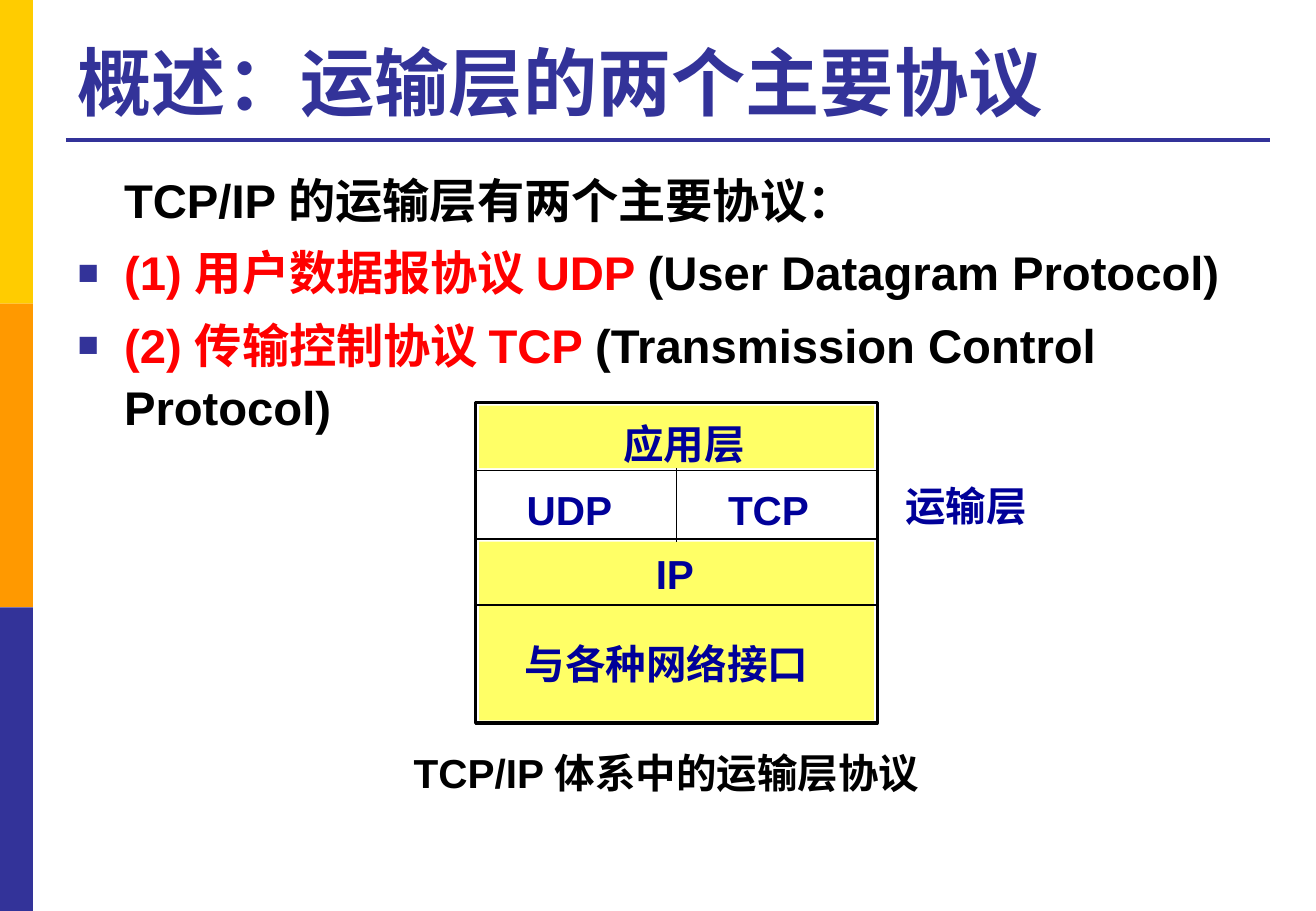
from lxml.etree import SubElement
from pptx import Presentation
from pptx.dml.color import RGBColor
from pptx.enum.shapes import MSO_CONNECTOR, MSO_SHAPE
from pptx.enum.text import MSO_ANCHOR, PP_ALIGN
from pptx.oxml.ns import qn
from pptx.util import Pt

BLUE, NAVY, BLACK, RED = "333399", "000099", "000000", "FF0000"
YELLOW = "FFFF66"


def color(code):
    """Turn a hex string into a colour."""
    return RGBColor.from_string(code)


def add_rect(slide, box, fill, line=None):
    """Draw a filled rectangle, outlined when a line width is given."""
    shape = slide.shapes.add_shape(MSO_SHAPE.RECTANGLE, *map(Pt, box))
    shape.shadow.inherit = False
    shape.fill.solid()
    shape.fill.fore_color.rgb = color(fill)
    if line:
        shape.line.color.rgb = color(BLACK)
        shape.line.width = Pt(line)
    else:
        shape.line.fill.background()
    return shape


def add_line(slide, ends, ink, width):
    """Draw a straight line without a shadow."""
    line = slide.shapes.add_connector(MSO_CONNECTOR.STRAIGHT, *map(Pt, ends))
    line.line.color.rgb = color(ink)
    line.line.width = Pt(width)
    SubElement(line._element.spPr, qn("a:effectLst"))
    return line


def add_run(para, text, size, ink):
    """Append one bold run."""
    run = para.add_run()
    run.text = text
    run.font.name = "Arial"
    run.font.size = Pt(size)
    run.font.bold = True
    run.font.color.rgb = color(ink)


def add_frame(slide, box, wrap=True):
    """Add an empty text box and return its text frame."""
    frame = slide.shapes.add_textbox(*map(Pt, box)).text_frame
    frame.word_wrap = wrap
    return frame


def add_label(slide, box, text, ink=NAVY):
    """Add a centred one-line label."""
    para = add_frame(slide, box, False).paragraphs[0]
    para.alignment = PP_ALIGN.CENTER
    add_run(para, text, 24, ink)


def add_bullet(para):
    """Hang a small blue square before the paragraph."""
    props = para._p.get_or_add_pPr()
    props.set("indent", str(-Pt(27.5)))
    tint = SubElement(props, qn("a:buClr"))
    SubElement(tint, qn("a:srgbClr"), val=BLUE)
    SubElement(props, qn("a:buSzPct"), val="75000")
    SubElement(props, qn("a:buFont"), typeface="Arial")
    SubElement(props, qn("a:buChar"), char="■")


def add_side(slide, box):
    """Stack the three colour bands of the side bar."""
    left, top, width, height = box
    part = height / 3
    for row, fill in enumerate(("FFCC00", "FF9900", BLUE)):
        add_rect(slide, (left, top + row * part, width, part), fill)


def add_title(slide, box):
    """Write the title and rule a line below it."""
    left, top, width, height = box
    frame = add_frame(slide, box)
    frame.vertical_anchor = MSO_ANCHOR.BOTTOM
    add_run(frame.paragraphs[0], "概述：运输层的两个主要协议", 44, BLUE)
    base = top + height + 5
    add_line(slide, (left, base, left + width, base), BLUE, 2.25)


def add_body(slide, box):
    """Write the lead sentence and the two bulleted protocols."""
    frame = add_frame(slide, box)
    rows = (
        ("", "TCP/IP 的运输层有两个主要协议："),
        ("(1) 用户数据报协议 UDP ", "(User Datagram Protocol)"),
        ("(2) 传输控制协议 TCP ", "(Transmission Control Protocol)"),
    )
    for row, (name, rest) in enumerate(rows):
        para = frame.add_paragraph() if row else frame.paragraphs[0]
        para.line_spacing = 1.1
        para._p.get_or_add_pPr().set("marL", str(Pt(27.5)))
        if name:
            para.space_before = Pt(6)
            add_bullet(para)
            add_run(para, name, 28, RED)
        add_run(para, rest, 28, BLACK)


def add_stack(slide, box):
    """Draw the protocol stack with its labels and caption."""
    left, top, width, height = box
    add_rect(slide, box, "FFFFFF", 2)
    upper, lower = [
        add_rect(slide, (left + 2, top + down, width - 4, tall), YELLOW)
        for down, tall in ((2, 37), (82.5, 106))
    ]
    for down in (40.5, 81, 120):
        add_line(slide, (left, top + down, left + width, top + down), BLACK, 1)
    split = add_line(slide, (left, top, left, top), BLACK, 1)
    split.begin_connect(upper, 2)
    split.end_connect(lower, 0)
    labels = (
        ("应用层", 80, 6.5, 87),
        ("UDP", 23, 45.5, 65),
        ("TCP", 142, 45.5, 63),
        ("IP", 99, 83.5, 38),
        ("与各种网络接口", 12, 136.5, 202),
        ("运输层", 246.5, 43, 88),
    )
    for text, over, down, wide in labels:
        add_label(slide, (left + over, top + down, wide, 36), text)
    note = (left - 79, top + height + 11.5, 384, 36)
    add_label(slide, note, "TCP/IP 体系中的运输层协议", BLACK)


def main():
    """Build the slide and save it."""
    deck = Presentation()
    deck.slide_width, deck.slide_height = Pt(780), Pt(540)
    slide = deck.slides.add_slide(deck.slide_layouts[6])
    add_side(slide, (0, 0, 19.5, 540))
    add_title(slide, (39, 15, 714, 63))
    add_body(slide, (39, 94.5, 714, 389))
    add_stack(slide, (282, 238.5, 238, 190))
    deck.save("out.pptx")


if __name__ == "__main__":
    main()
